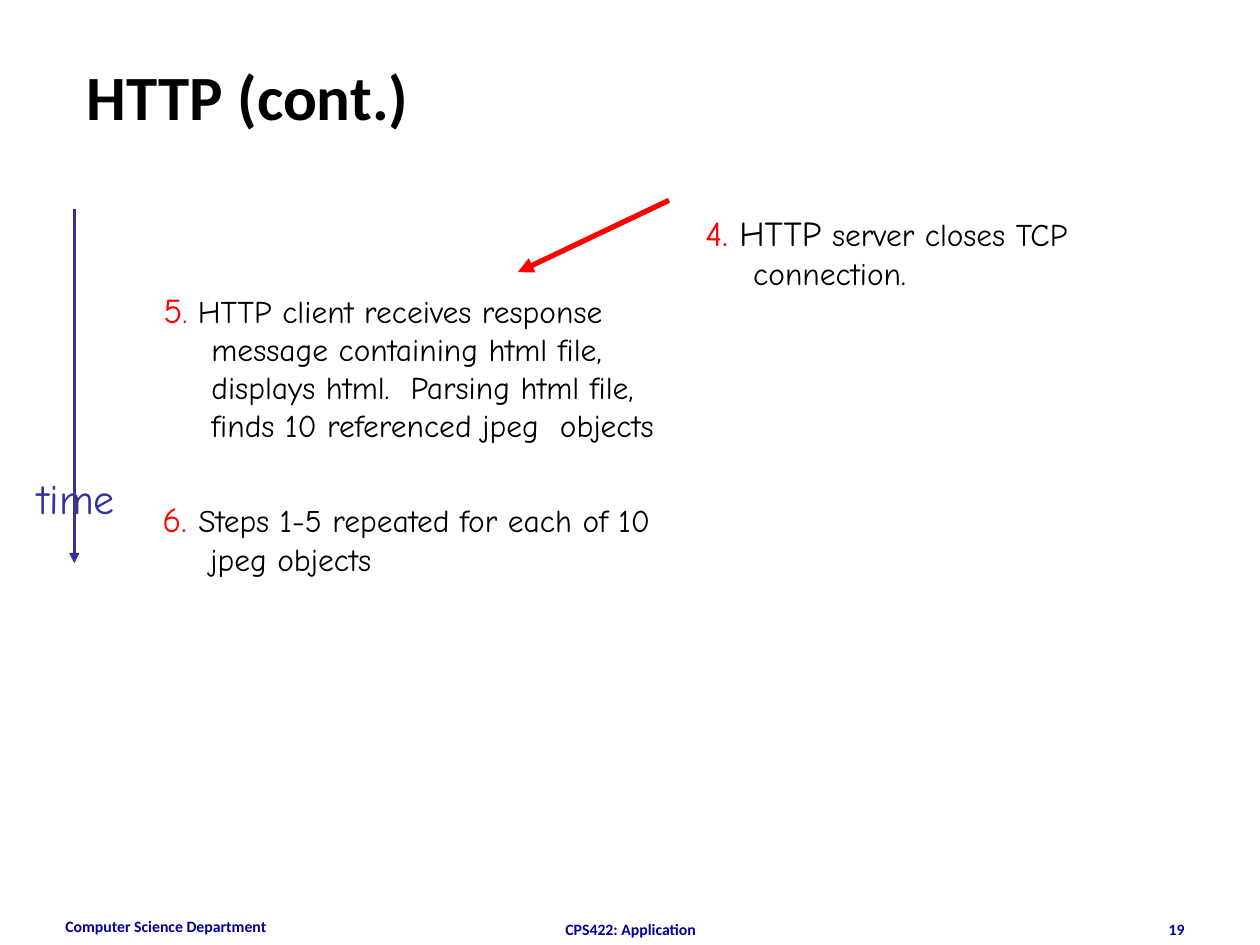
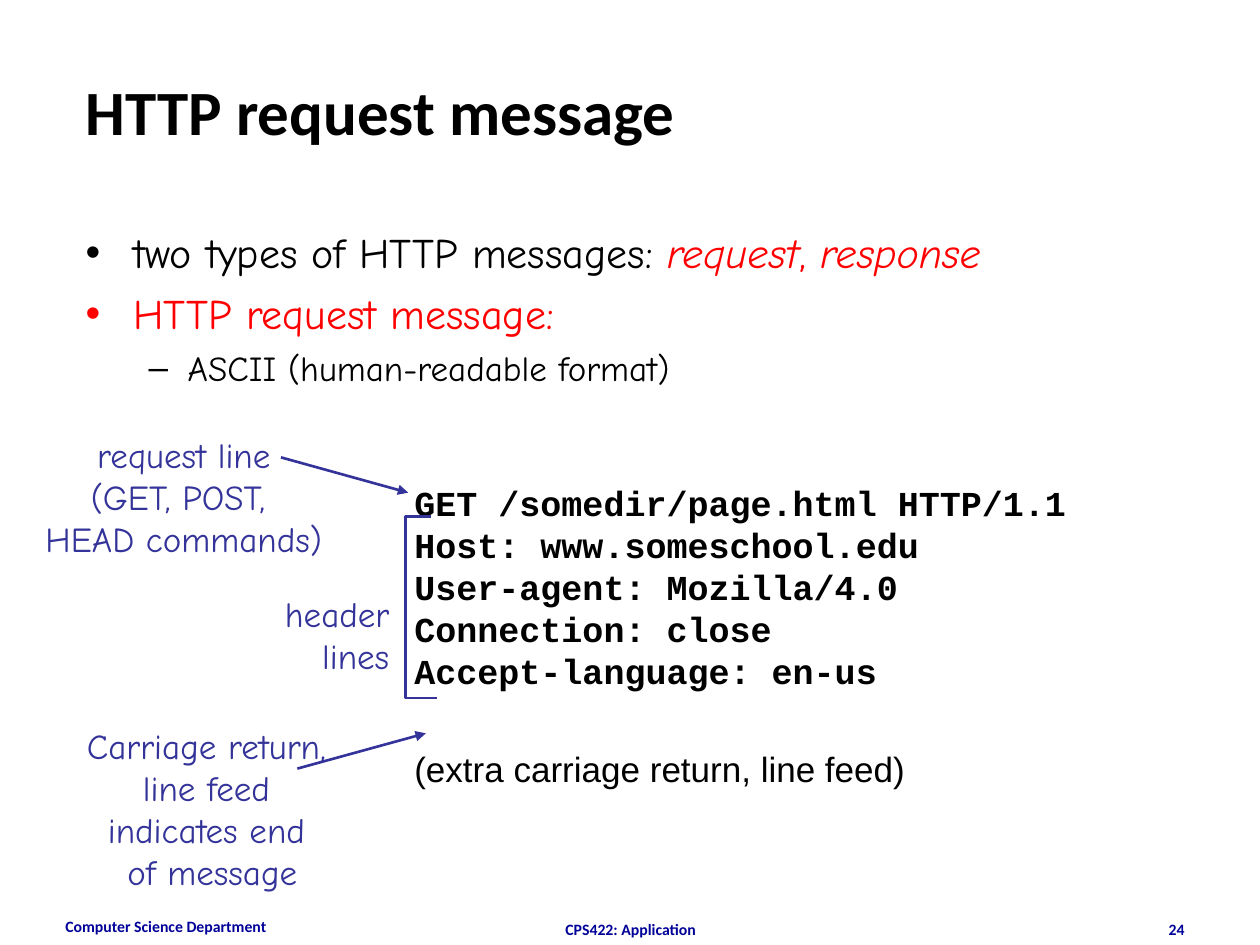
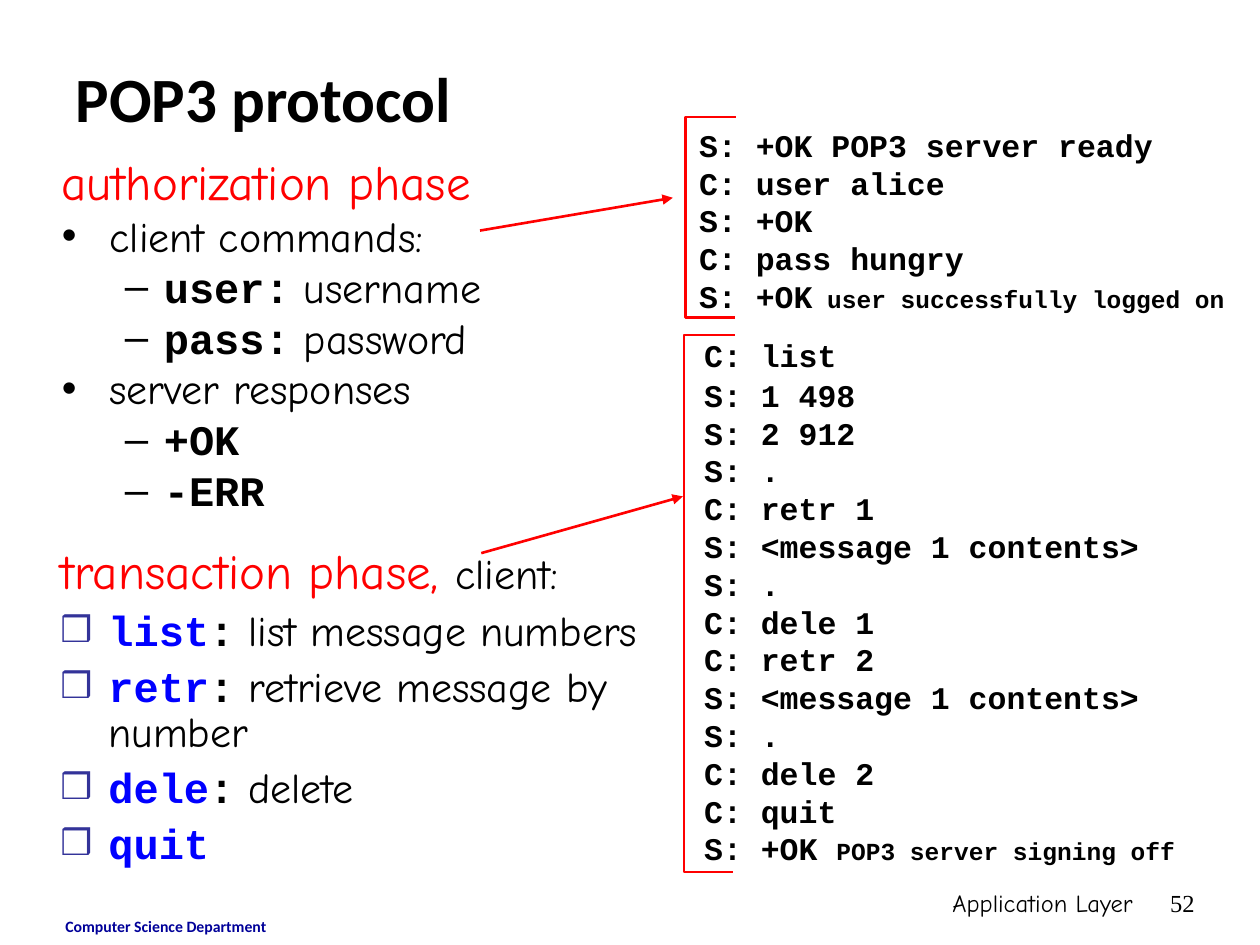
from lxml.etree import SubElement
from pptx import Presentation
from pptx.dml.color import RGBColor
from pptx.enum.shapes import MSO_CONNECTOR as Connector
from pptx.enum.text import MSO_ANCHOR as Anchor, MSO_AUTO_SIZE as AutoSize, PP_ALIGN as Align
from pptx.oxml.ns import qn
from pptx.util import Inches, Pt

BLACK = RGBColor(0x00, 0x00, 0x00)
RED = RGBColor(0xFF, 0x00, 0x00)
BLUE = RGBColor(0x00, 0x00, 0xFF)
INDIGO = RGBColor(0x33, 0x33, 0x99)
NAVY = RGBColor(0x00, 0x00, 0x99)

COLUMNS, ROWS = 100, 75
TITLE_ONLY, TITLE_AND_BODY, TITLE_AND_TWO_BODIES = 5, 1, 3


def style(name, size, color=BLACK, bold=False, italic=False):
    return {"name": name, "size": Pt(size), "color": color, "bold": bold, "italic": italic}


def hand(size, color=BLACK, italic=False):
    return style("Comic Neue", size, color, italic=italic)


def code(size, color=BLACK):
    return style("Courier New", size, color, bold=True)


def layout(before=0, spacing=1.0, align=Align.LEFT, left=0, hang=0, bullet=None, color=BLACK, percent=100):
    return {
        "values": {"space_before": Pt(before), "space_after": Pt(0), "line_spacing": spacing, "alignment": align},
        "left": Inches(left), "hang": Inches(hang),
        "bullet": bullet, "color": color, "percent": percent,
    }


def item(before, spacing=1.0, bullet="•", color=BLACK, percent=100):
    return layout(before, spacing, left=0.38, hang=0.38, bullet=bullet, color=color, percent=percent)


def subitem(before, spacing=1.0):
    return layout(before, spacing, left=0.81, hang=0.31, bullet="–")


def lines(texts, text_style, form=None):
    return [(form or layout(), [(text, text_style)]) for text in texts]


TITLE = style("Calibri", 36, bold=True)
FOOTER = style("Calibri", 9, NAVY, bold=True)


class Deck:
    def __init__(self):
        self.presentation = Presentation()
        self.presentation.slide_width = Inches(10)
        self.presentation.slide_height = Inches(7.5)
        self.slide = None

    def x(self, columns):
        return round(self.presentation.slide_width * columns / COLUMNS)

    def y(self, rows):
        return round(self.presentation.slide_height * rows / ROWS)

    def box(self, left, top, width, height):
        return self.x(left), self.y(top), self.x(width), self.y(height)

    def start(self, layout_index, title, title_box):
        self.slide = self.presentation.slides.add_slide(self.presentation.slide_layouts[layout_index])
        self.fill(self.slide.shapes.title, title_box, lines([title], TITLE), Anchor.MIDDLE)
        self.text((4.2, 72.3, 23.3, 2.7), lines(["Computer Science Department"], FOOTER))

    def footer(self, number):
        self.text((34.2, 72.5, 31.7, 1), lines(["CPS422: Application"], FOOTER, layout(align=Align.CENTER)))
        self.text((71.7, 72.5, 23.3, 1), lines([number], FOOTER, layout(align=Align.RIGHT)))

    def text(self, box, paragraphs):
        self.fill(self.slide.shapes.add_textbox(*self.box(*box)), box, paragraphs)

    def body(self, index, box, paragraphs):
        self.fill(self.slide.placeholders[index], box, paragraphs)

    def fill(self, shape, box, paragraphs, anchor=Anchor.TOP):
        for name, value in zip(("left", "top", "width", "height"), self.box(*box)):
            setattr(shape, name, value)
        frame = shape.text_frame
        settings = {"word_wrap": True, "auto_size": AutoSize.NONE, "vertical_anchor": anchor}
        for name, value in settings.items():
            setattr(frame, name, value)
        for position, (form, runs) in enumerate(paragraphs):
            paragraph = frame.add_paragraph() if position else frame.paragraphs[0]
            self.format_paragraph(paragraph, form)
            for content, text_style in runs:
                run = paragraph.add_run()
                run.text = content
                self.format_font(run.font, text_style)

    def format_paragraph(self, paragraph, form):
        properties = paragraph._p.get_or_add_pPr()
        properties.set("marL", str(form["left"]))
        properties.set("indent", str(-form["hang"]))
        if form["bullet"]:
            color = SubElement(properties, qn("a:buClr"))
            SubElement(color, qn("a:srgbClr"), val=str(form["color"]))
            SubElement(properties, qn("a:buSzPct"), val=str(form["percent"] * 1000))
            SubElement(properties, qn("a:buChar"), char=form["bullet"])
        else:
            SubElement(properties, qn("a:buNone"))
        for name, value in form["values"].items():
            setattr(paragraph, name, value)

    def format_font(self, font, text_style):
        for name, value in text_style.items():
            if name == "color":
                font.color.rgb = value
            else:
                setattr(font, name, value)

    def arrow(self, start, end, color, weight=1.5):
        connector = self.slide.shapes.add_connector(
            Connector.STRAIGHT, self.x(start[0]), self.y(start[1]), self.x(end[0]), self.y(end[1]))
        connector.line.color.rgb = color
        connector.line.width = Pt(weight)
        SubElement(connector.line._get_or_add_ln(), qn("a:tailEnd"), type="triangle")
        SubElement(connector._element.spPr, qn("a:effectLst"))

    def bracket(self, left, top, bottom, upper_arm, lower_arm, color):
        builder = self.slide.shapes.build_freeform(self.x(left + upper_arm), self.y(top))
        corners = [(left, top), (left, bottom), (left + lower_arm, bottom)]
        builder.add_line_segments([(self.x(x), self.y(y)) for x, y in corners], close=False)
        shape = builder.convert_to_shape()
        shape.shadow.inherit = False
        shape.fill.background()
        shape.line.color.rgb = color
        shape.line.width = Pt(1.5)


def http_steps(deck):
    deck.start(TITLE_ONLY, "HTTP (cont.)", (5.9, 2.8, 85, 9.5))
    deck.footer("19")
    steps = [
        ((12, 22.4, 41.7, 16.8), [
            ("5", hand(20, RED)), (".", hand(18, RED)),
            (" HTTP client receives response message containing html file, displays html.  "
             "Parsing html file, finds 10 referenced jpeg  objects", hand(18))]),
        ((11.9, 39, 41.7, 7.3), [
            ("6. ", hand(20, RED)), ("Steps 1-5 repeated for each of 10 jpeg objects", hand(18))]),
        ((55, 16.3, 41.7, 8), [
            ("4.", hand(20, RED)), (" HTTP", hand(20)), (" server closes TCP connection.", hand(18))]),
    ]
    for box, runs in steps:
        deck.text(box, [(layout(left=0.38, hang=0.38), runs)])
    deck.arrow((5.9, 16.6), (5.9, 44.7), INDIGO)
    deck.text((1.5, 37, 9.1, 5), lines(["time"], hand(24, INDIGO), layout(align=Align.CENTER)))
    deck.arrow((53.1, 15.9), (41.1, 21.6), RED, 3)


def request_message(deck):
    deck.start(TITLE_AND_BODY, "HTTP request message", (5.8, 2.5, 85, 12.5))
    deck.footer("24")
    deck.body(1, (5.8, 17.5, 85, 50.8), [
        (item(0), [
            ("two types of HTTP messages: ", hand(24)), ("request", hand(24, RED, True)),
            (", ", hand(24, RED)), ("response", hand(24, RED, True))]),
        (item(6, color=RED), [("HTTP request message:", hand(24, RED))]),
        (subitem(5), [("ASCII (human-readable format)", hand(20))]),
    ])
    request = [
        "GET /somedir/page.html HTTP/1.1",
        "Host: www.someschool.edu",
        "User-agent: Mozilla/4.0",
        "Connection: close",
        "Accept-language: en-us",
    ]
    deck.text((31.9, 37.7, 56, 25.7), lines(request, code(20)) + lines(
        ["(extra carriage return, line feed)"], style("Arial", 20), layout(before=32)))
    labels = [
        ((2.1, 33.9, 25, 11), Align.CENTER, ["request line", "(GET, POST, ", "HEAD commands)"]),
        ((20.6, 46.5, 11.3, 7.7), Align.RIGHT, ["header", "lines"]),
        ((5.4, 57, 22.9, 14.4), Align.CENTER,
         ["Carriage return, ", "line feed ", "indicates end ", "of message"]),
    ]
    for box, align, texts in labels:
        deck.text(box, lines(texts, hand(20, INDIGO), layout(align=align)))
    deck.arrow((22.3, 36.3), (32.4, 39.1), INDIGO)
    deck.arrow((23.6, 61), (33.8, 58.2), INDIGO)
    deck.bracket(32.2, 41, 55.4, 2, 2.5, INDIGO)


def pop3_protocol(deck):
    deck.start(TITLE_AND_TWO_BODIES, "POP3 protocol", (5, 3, 90, 9.5))
    right = layout(align=Align.RIGHT)
    deck.text((59.2, 70, 31.7, 5), lines(["Application Layer"], hand(14), right))
    deck.text((90.8, 70, 5, 5), lines(["52"], style("Times New Roman", 14), right))

    bullet, dash = item(6, 0.8), subitem(6, 0.8)
    deck.body(1, (3.9, 12.4, 48.4, 31.7), [
        (layout(spacing=0.8), [("authorization phase", hand(28, RED))]),
        (bullet, [("client commands:", hand(24))]),
        (dash, [("user:", code(24)), (" username", hand(24))]),
        (dash, [("pass:", code(24)), (" password", hand(24))]),
        (bullet, [("server responses", hand(24))]),
        (dash, [("+OK", code(24))]),
        (dash, [("-ERR", code(24))]),
    ])
    box_item = item(6, 0.9, "❒", INDIGO, 85)
    commands = [("list", " list message numbers"), ("retr", " retrieve message by number"), ("dele", " delete")]
    deck.body(2, (3.8, 42.9, 48.4, 30.4), [
        (layout(spacing=0.9, left=0.38, hang=0.38),
         [("transaction phase, ", hand(28, RED)), ("client:", hand(24))]),
        *[(box_item, [(name, code(24, BLUE)), (":", code(24)), (meaning, hand(24))])
          for name, meaning in commands],
        (box_item, [("quit", code(24, BLUE))]),
    ])

    login = ["S: +OK POP3 server ready", "C: user alice", "S: +OK", "C: pass hungry"]
    deck.text((54.5, 9.5, 45, 16), lines(login, code(18)) + [
        (layout(), [("S: +OK", code(18)), (" user successfully logged on", code(14))])])
    transfer = [
        "S: 2 912", "S: .", "C: retr 1", "S: <message 1 contents>", "S: .", "C: dele 1",
        "C: retr 2", "S: <message 1 contents>", "S: .", "C: dele 2", "C: quit",
    ]
    deck.text((54.9, 26.2, 40, 43.1), [
        *lines(["C: list"], code(18)),
        *lines(["S: 1 498"], code(18), layout(before=1)),
        *lines(transfer, code(18)),
        (layout(), [("S: +OK ", code(18)), ("POP3 server signing off", code(14))]),
    ])
    deck.bracket(54.4, 9.3, 25.2, 4, 3.9, RED)
    deck.bracket(54.3, 26.6, 69.2, 4, 3.9, RED)
    deck.arrow((38.1, 18.3), (53.4, 15.7), RED)
    deck.arrow((38.2, 43.9), (54.2, 39.4), RED)


def main():
    deck = Deck()
    for build_slide in (http_steps, request_message, pop3_protocol):
        build_slide(deck)
    deck.presentation.save("out.pptx")


if __name__ == "__main__":
    main()
